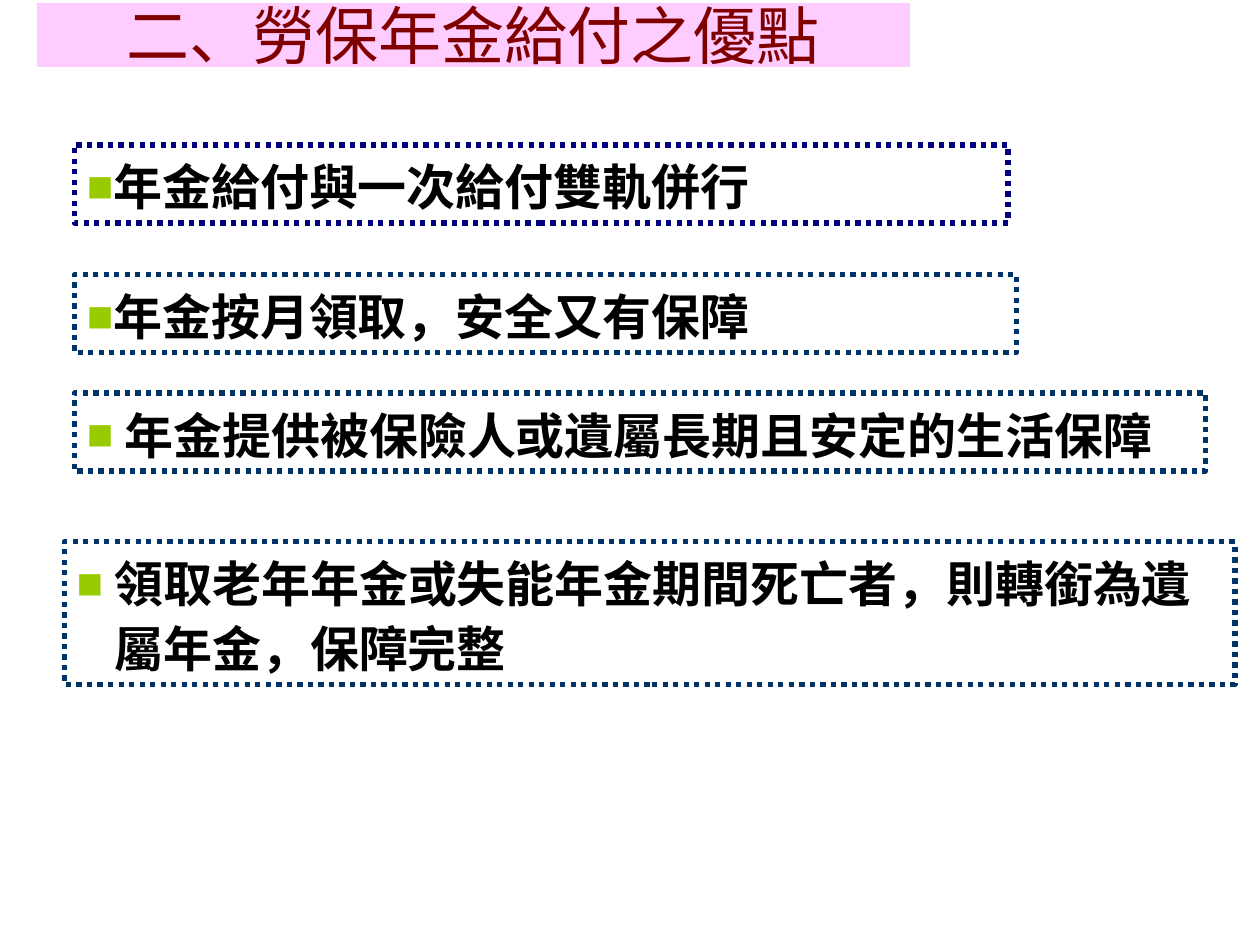
from dataclasses import dataclass

from lxml import etree
from pptx import Presentation
from pptx.dml.color import RGBColor
from pptx.enum import dml, lang, text
from pptx.oxml import ns
from pptx.util import Pt


@dataclass(frozen=True)
class Theme:
    title_fill: RGBColor = RGBColor(0xFF, 0xCC, 0xFF)
    title_ink: RGBColor = RGBColor(0x80, 0x00, 0x00)
    title_edge: RGBColor = RGBColor(0xFF, 0xFF, 0xFF)
    ink: RGBColor = RGBColor(0x00, 0x00, 0x00)
    navy: RGBColor = RGBColor(0x00, 0x00, 0x80)
    teal: RGBColor = RGBColor(0x00, 0x33, 0x66)
    bullet: str = "99CC00"
    latin: str = "Arial"
    cjk_tc: str = "Noto Sans CJK TC"
    cjk_sc: str = "Noto Sans CJK SC"
    title_size: float = 36
    body_size: float = 28
    edge_width: float = 3


THEME = Theme()


@dataclass(frozen=True)
class Advantage:
    """One dotted box; runs are (words, font) and lengths are points."""
    left: float
    top: float
    width: float
    height: float
    edge: RGBColor
    runs: tuple[tuple[str, str], ...]
    indent: float = 0


ADVANTAGES = (
    Advantage(42.5, 82.8, 533.5, 44.6, THEME.navy,
              (("年金給付與一次給付雙軌併行", THEME.cjk_tc),)),
    Advantage(42.5, 157, 538.5, 44.6, THEME.teal,
              (("年金按月領取，安全又有保障", THEME.latin),)),
    Advantage(42.5, 224.6, 646.5, 44.6, THEME.teal,
              (("年金提供被保險人或遺屬長期且安定的生活保障", THEME.cjk_tc),), 21.6),
    Advantage(36.7, 309.6, 669, 81.4, THEME.teal,
              (("領取老年年金或失能年金期間死亡者，則轉銜為遺屬年金，", THEME.cjk_sc),
               ("保障完整", THEME.cjk_tc)), 21.6),
)


def add_run(paragraph, words: str, font: str, size: float,
            color: RGBColor, bold: bool) -> None:
    run = paragraph.add_run()
    run.text = words
    run.font.name = font
    run.font.size = Pt(size)
    run.font.bold = bold
    run.font.color.rgb = color
    run.font.language_id = lang.MSO_LANGUAGE_ID.TAIWAN if hasattr(
        lang.MSO_LANGUAGE_ID, "TAIWAN") else None
    # East Asian typeface, needed for the Chinese characters
    east_asian = THEME.cjk_tc if font == THEME.latin else font
    etree.SubElement(run.font._element, ns.qn("a:ea"), typeface=east_asian)


def add_bullet(paragraph, indent: float) -> None:
    properties = paragraph._p.get_or_add_pPr()
    properties.set("marL", str(Pt(indent)))
    properties.set("indent", str(-Pt(indent)))
    color = etree.SubElement(properties, ns.qn("a:buClr"))
    etree.SubElement(color, ns.qn("a:srgbClr"), val=THEME.bullet)
    etree.SubElement(properties, ns.qn("a:buSzPct"), val="90000")
    etree.SubElement(properties, ns.qn("a:buFont"), typeface=THEME.latin)
    etree.SubElement(properties, ns.qn("a:buChar"), char="■")


def set_title(title, words: str) -> None:
    title.left, title.top, title.width, title.height = (
        Pt(19.5), Pt(0), Pt(502), Pt(39.6))
    title.fill.solid()
    title.fill.fore_color.rgb = THEME.title_fill
    title.line.color.rgb = THEME.title_edge
    title.line.width = Pt(THEME.edge_width)
    frame = title.text_frame
    frame.auto_size = text.MSO_AUTO_SIZE.NONE
    frame.vertical_anchor = text.MSO_ANCHOR.MIDDLE
    heading = frame.paragraphs[0]
    heading.alignment = text.PP_ALIGN.CENTER
    add_run(heading, words, THEME.latin, THEME.title_size, THEME.title_ink, False)


def add_advantage(slide, advantage: Advantage) -> None:
    box = slide.shapes.add_textbox(Pt(advantage.left), Pt(advantage.top),
                                   Pt(advantage.width), Pt(advantage.height))
    box.line.color.rgb = advantage.edge
    box.line.width = Pt(THEME.edge_width)
    box.line.dash_style = dml.MSO_LINE.ROUND_DOT
    box.text_frame.word_wrap = True
    point = box.text_frame.paragraphs[0]
    add_bullet(point, advantage.indent)
    point.line_spacing = 1.1
    for words, font in advantage.runs:
        add_run(point, words, font, THEME.body_size, THEME.ink, True)


def main() -> None:
    deck = Presentation()
    deck.slide_width, deck.slide_height = Pt(720), Pt(540)
    slide = deck.slides.add_slide(deck.slide_layouts[5])  # Title Only

    # Heading band
    set_title(slide.shapes.title, "二、勞保年金給付之優點")

    # Dotted boxes, one advantage each
    for advantage in ADVANTAGES:
        add_advantage(slide, advantage)

    deck.save("out.pptx")


if __name__ == "__main__":
    main()
